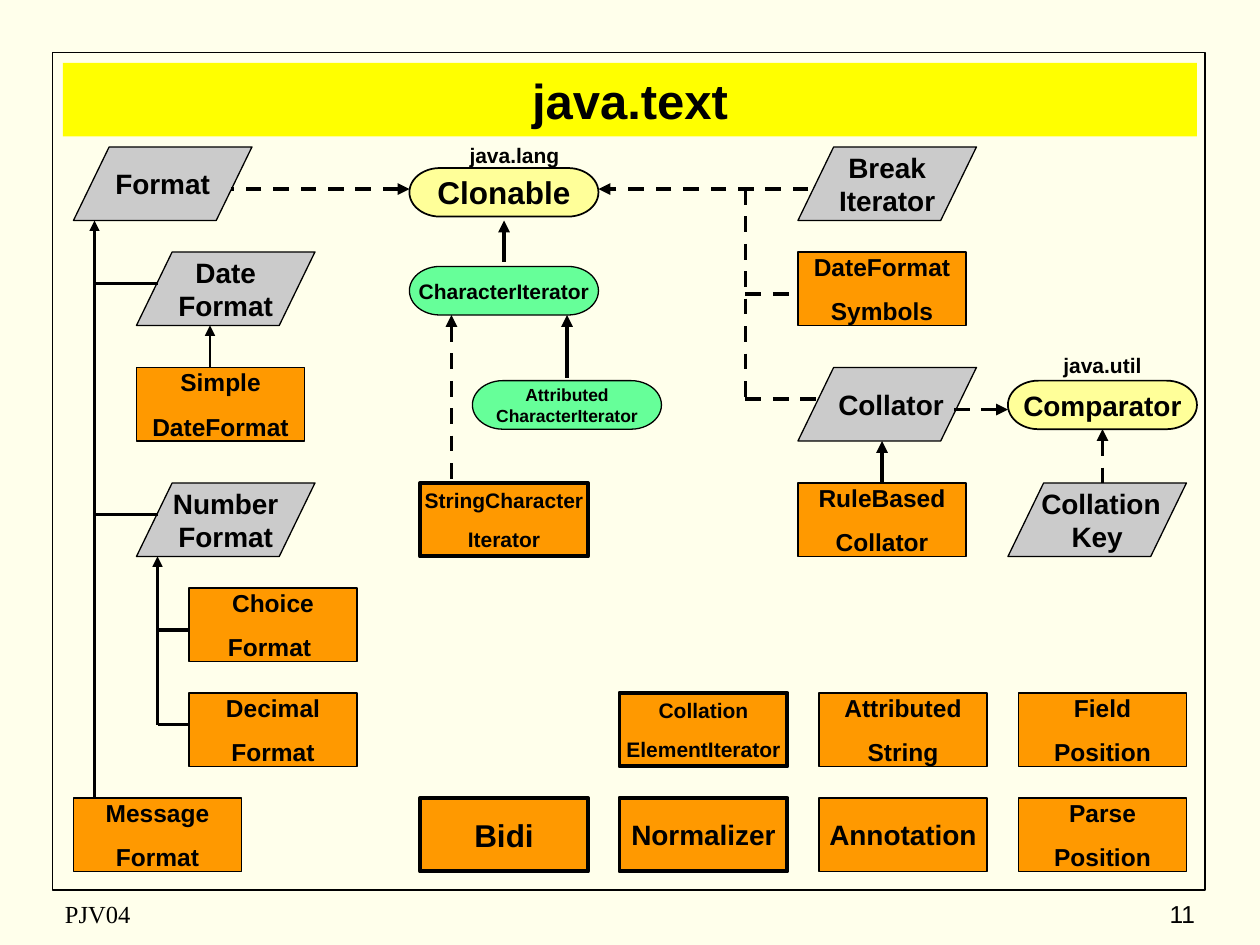
from dataclasses import dataclass

from lxml import etree
from pptx import Presentation
from pptx.dml.color import RGBColor
from pptx.enum.dml import MSO_LINE
from pptx.enum.shapes import MSO_CONNECTOR, MSO_SHAPE
from pptx.enum.text import MSO_ANCHOR, PP_ALIGN
from pptx.oxml.ns import qn
from pptx.util import Pt

RECT = MSO_SHAPE.RECTANGLE
SLANT = MSO_SHAPE.FLOWCHART_DATA
PILL = MSO_SHAPE.FLOWCHART_TERMINATOR
LINE = MSO_CONNECTOR.STRAIGHT
DASH = MSO_LINE.DASH
TOP, MIDDLE = MSO_ANCHOR.TOP, MSO_ANCHOR.MIDDLE
LEFT, CENTER, RIGHT = PP_ALIGN.LEFT, PP_ALIGN.CENTER, PP_ALIGN.RIGHT

BLACK = RGBColor(0x00, 0x00, 0x00)
CREAM = RGBColor(0xFF, 0xFF, 0xEB)
YELLOW = RGBColor(0xFF, 0xFF, 0x00)
GREY = RGBColor(0xCB, 0xCB, 0xCB)
ORANGE = RGBColor(0xFF, 0x99, 0x00)
GREEN = RGBColor(0x66, 0xFF, 0x99)
PALE = RGBColor(0xFF, 0xFF, 0x99)

SCALE = 9525
GAP = 0.625
HEAD, TAIL = "a:headEnd", "a:tailEnd"


@dataclass
class Kind:
    form: int
    wide: int
    high: int
    fill: RGBColor | None
    edge: float
    gap: float = 0


@dataclass
class Node:
    text: str
    x: int
    y: int
    kind: Kind
    size: int


@dataclass
class Note:
    text: str
    x: int
    y: int
    wide: int
    high: int
    size: int
    align: int
    anchor: int
    font: str = "Arial"
    bold: bool = False
    gap: float = 0


@dataclass
class Link:
    x1: int
    y1: int
    x2: int
    y2: int
    tip: str = ""
    width: float = 2.25
    dash: bool = False
    start: tuple | None = None
    end: tuple | None = None


FRAME = Kind(RECT, 878, 638, None, 1)
TITLE = Kind(RECT, 864, 56, YELLOW, 0)
BASE = Kind(SLANT, 136, 56, GREY, 0.75)
CLASS = Kind(RECT, 128, 56, ORANGE, 0.75, GAP)
BOLD = Kind(RECT, 128, 56, ORANGE, 2.25, GAP)
FACE = Kind(PILL, 144, 37, GREEN, 0.75)
OUTER = Kind(PILL, 144, 37, PALE, 1)

NODES = [
    Node("", 40, 40, FRAME, 12),
    Node("java.text", 48, 48, TITLE, 28),
    Node("Format", 56, 112, BASE, 16),
    Node("Date\nFormat", 104, 192, BASE, 16),
    Node("Number\nFormat", 104, 368, BASE, 16),
    Node("Break\nIterator", 608, 112, BASE, 16),
    Node(" Collator", 608, 280, BASE, 16),
    Node(" Collation\nKey", 768, 368, BASE, 16),
    Node("Clonable", 312, 128, OUTER, 18),
    Node("Comparator", 768, 290, OUTER, 16),
    Node("CharacterIterator", 312, 203, FACE, 12),
    Node("Attributed\nCharacterIterator", 360, 290, FACE, 10),
    Node("Simple\nDateFormat", 104, 280, CLASS, 14),
    Node("Choice\nFormat ", 144, 448, CLASS, 14),
    Node("Decimal\nFormat", 144, 528, CLASS, 14),
    Node("Message\nFormat", 56, 608, CLASS, 14),
    Node("DateFormat\nSymbols", 608, 192, CLASS, 14),
    Node("RuleBased\nCollator", 608, 368, CLASS, 14),
    Node("Attributed\nString", 624, 528, CLASS, 14),
    Node("Field\nPosition", 776, 528, CLASS, 14),
    Node("Annotation", 624, 608, CLASS, 16),
    Node("Parse\nPosition", 776, 608, CLASS, 14),
    Node("StringCharacter\nIterator", 320, 368, BOLD, 12),
    Node("Collation\nElementIterator", 472, 528, BOLD, 12),
    Node("Bidi", 320, 608, BOLD, 18),
    Node("Normalizer", 472, 608, BOLD, 16),
]

NOTES = [
    Note("java.lang", 344, 104, 96, 29, 12, CENTER, TOP, bold=True, gap=GAP),
    Note("java.util", 792, 264, 96, 29, 12, CENTER, TOP, bold=True, gap=GAP),
    Note("PJV04", 40, 680, 304, 32, 14, LEFT, MIDDLE, "Times New Roman"),
    Note("11", 720, 680, 200, 32, 14, RIGHT, MIDDLE),
]

LINKS = [
    Link(384, 168, 384, 200, HEAD),
    Link(432, 240, 432, 288, HEAD),
    Link(344, 240, 344, 368, HEAD, dash=True),
    Link(312, 144, 176, 144, HEAD, dash=True),
    Link(616, 144, 456, 144, TAIL, dash=True),
    Link(568, 144, 568, 304, dash=True),
    Link(568, 224, 608, 224, dash=True),
    Link(568, 304, 624, 304, dash=True),
    Link(768, 312, 720, 312, HEAD, dash=True),
    Link(840, 328, 840, 368, HEAD, dash=True, start=("Comparator", 2)),
    Link(672, 336, 672, 368, HEAD, end=("RuleBased\nCollator", 0)),
    Link(72, 608, 72, 168, TAIL, 1.5),
    Link(72, 216, 120, 216),
    Link(72, 392, 120, 392),
    Link(120, 552, 120, 424, TAIL, 1.5),
    Link(120, 480, 144, 480),
    Link(120, 552, 144, 552),
    Link(160, 280, 160, 248, TAIL, 1.5),
]


def px(*vals: int) -> list[int]:
    return [val * SCALE for val in vals]


def style(item, vals: dict) -> None:
    for key, val in vals.items():
        setattr(item, key, val)


def write(frame, text: str, size: int, gap: float, align=CENTER,
          anchor=MIDDLE, font="Arial", bold=True, wrap=False) -> None:
    style(frame, {"text": text, "word_wrap": wrap, "vertical_anchor": anchor})
    for para in frame.paragraphs:
        style(para, {"alignment": align, "space_before": Pt(size * gap)})
        for run in para.runs:
            style(run.font, {"name": font, "size": Pt(size), "bold": bold})
            run.font.color.rgb = BLACK


def ink(line, width: float) -> None:
    line.color.rgb = BLACK
    line.width = Pt(width)


def draw_node(slide, node: Node):
    kind = node.kind
    shape = slide.shapes.add_shape(
        kind.form, *px(node.x, node.y, kind.wide, kind.high))
    shape.shadow.inherit = False
    if kind.fill is None:
        shape.fill.background()
    else:
        shape.fill.solid()
        shape.fill.fore_color.rgb = kind.fill
    if kind.edge:
        ink(shape.line, kind.edge)
    else:
        shape.line.fill.background()
    if node.text:
        write(shape.text_frame, node.text, node.size, kind.gap)
    return shape


def draw_note(slide, note: Note) -> None:
    box = slide.shapes.add_textbox(*px(note.x, note.y, note.wide, note.high))
    write(box.text_frame, note.text, note.size, note.gap, note.align,
          note.anchor, note.font, note.bold, True)


def draw_link(slide, link: Link, nodes: dict) -> None:
    wire = slide.shapes.add_connector(
        LINE, *px(link.x1, link.y1, link.x2, link.y2))
    if link.start:
        wire.begin_connect(nodes[link.start[0]], link.start[1])
    if link.end:
        wire.end_connect(nodes[link.end[0]], link.end[1])
    ink(wire.line, link.width)
    if link.dash:
        wire.line.dash_style = DASH
    if link.tip:
        edge = wire.line._get_or_add_ln()
        etree.SubElement(edge, qn(link.tip), type="triangle")
    etree.SubElement(wire._element.spPr, qn("a:effectLst"))


def main() -> None:
    deck = Presentation()
    style(deck, {"slide_width": 960 * SCALE, "slide_height": 720 * SCALE})
    slide = deck.slides.add_slide(deck.slide_layouts[6])
    back = slide.background.fill
    back.solid()
    back.fore_color.rgb = CREAM
    nodes = {node.text: draw_node(slide, node) for node in NODES}
    for note in NOTES:
        draw_note(slide, note)
    for link in LINKS:
        draw_link(slide, link, nodes)
    deck.save("out.pptx")


if __name__ == "__main__":
    main()
